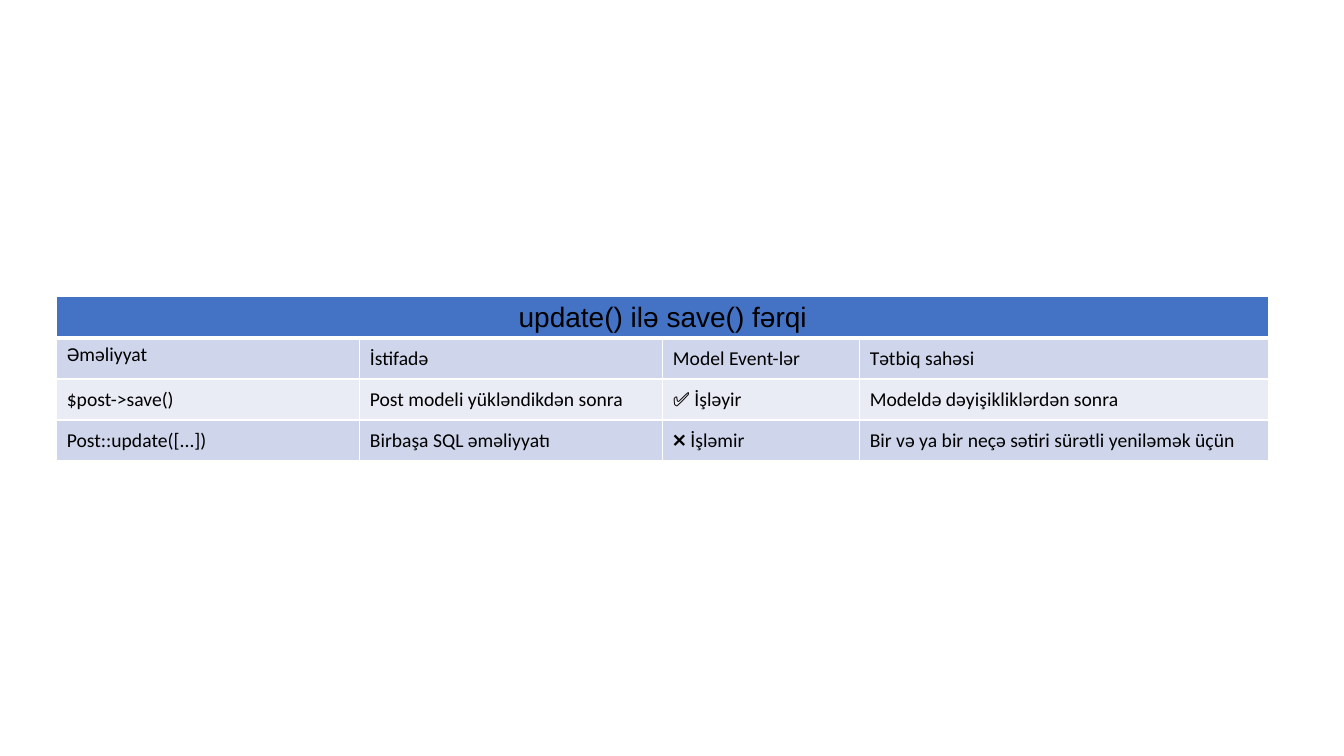
from lxml import etree
from pptx import Presentation
from pptx.dml.color import RGBColor
from pptx.enum.text import MSO_ANCHOR, PP_ALIGN
from pptx.oxml.ns import qn
from pptx.util import Pt

TOP, MIDDLE = MSO_ANCHOR.TOP, MSO_ANCHOR.MIDDLE
LEFT, CENTER = PP_ALIGN.LEFT, PP_ALIGN.CENTER

BLACK = RGBColor(0x00, 0x00, 0x00)
WHITE = RGBColor(0xFF, 0xFF, 0xFF)
BLUE = RGBColor(0x44, 0x72, 0xC4)
BAND_DARK = RGBColor(0xCF, 0xD5, 0xEA)
BAND_LIGHT = RGBColor(0xE9, 0xEB, 0xF5)

TITLE = "update() ilə save() fərqi"
ROWS = [
    ["Əməliyyat", "İstifadə", "Model Event-lər", "Tətbiq sahəsi"],
    ["$post->save()", "Post modeli yükləndikdən sonra", "✅ İşləyir",
     "Modeldə dəyişikliklərdən sonra"],
    ["Post::update([...])", "Birbaşa SQL əməliyyatı", "❌ İşləmir",
     "Bir və ya bir neçə sətiri sürətli yeniləmək üçün"],
]
COLUMN_WIDTHS = [216.5, 216.5, 140.6, 292.4]
ROW_HEIGHT = 29.2


class SlideBuilder:
    """Holds the slide and the style of its table."""

    title_font, title_size = "Arial", 20
    body_font, body_size = "Calibri", 14
    thin, thick = 1, 3

    def __init__(self, prs):
        self.s = prs.slides.add_slide(prs.slide_layouts[6])

    def borders(self, cell, top, bottom):
        tcPr = cell._tc.get_or_add_tcPr()
        widths = {"L": self.thin, "R": self.thin, "T": top, "B": bottom}
        for side, width in widths.items():
            ln = etree.SubElement(tcPr, qn(f"a:ln{side}"), w=str(Pt(width)))
            fill = etree.SubElement(ln, qn("a:solidFill"))
            etree.SubElement(fill, qn("a:srgbClr"), val=str(WHITE))

    def text(self, cell, text, font, size, align, anchor):
        cell.vertical_anchor = anchor
        p = cell.text_frame.paragraphs[0]
        p.text = text
        p.alignment = align
        p.font.name = font
        p.font.size = Pt(size)
        p.font.color.rgb = BLACK

    def table(self, left, top, title, rows, widths, row_height):
        n = len(rows) + 1
        table = self.s.shapes.add_table(
            n, len(widths), Pt(left), Pt(top),
            Pt(sum(widths)), Pt(n * row_height)).table
        for column, width in zip(table.columns, widths):
            column.width = Pt(width)

        # Borders and banded fills
        for i, row in enumerate(table.rows):
            row.height = Pt(row_height)
            band = BAND_DARK if i % 2 else BAND_LIGHT
            for cell in row.cells:
                self.borders(cell, self.thick if i == 1 else self.thin,
                             self.thick if i == 0 else self.thin)
                cell.fill.solid()
                cell.fill.fore_color.rgb = band if i else BLUE

        # Title row across all columns
        head = table.cell(0, 0)
        head.merge(table.cell(0, len(widths) - 1))
        self.text(head, title, self.title_font, self.title_size, CENTER, TOP)

        # Body text, with the corner heading aligned to the top
        for i, row in enumerate(rows, 1):
            for j, value in enumerate(row):
                anchor = TOP if (i, j) == (1, 0) else MIDDLE
                self.text(table.cell(i, j), value, self.body_font,
                          self.body_size, LEFT, anchor)


def main():
    prs = Presentation()
    prs.slide_width, prs.slide_height = Pt(960), Pt(540)
    slide = SlideBuilder(prs)
    slide.table(40.5, 212, TITLE, ROWS, COLUMN_WIDTHS, ROW_HEIGHT)
    prs.save("out.pptx")


if __name__ == "__main__":
    main()
